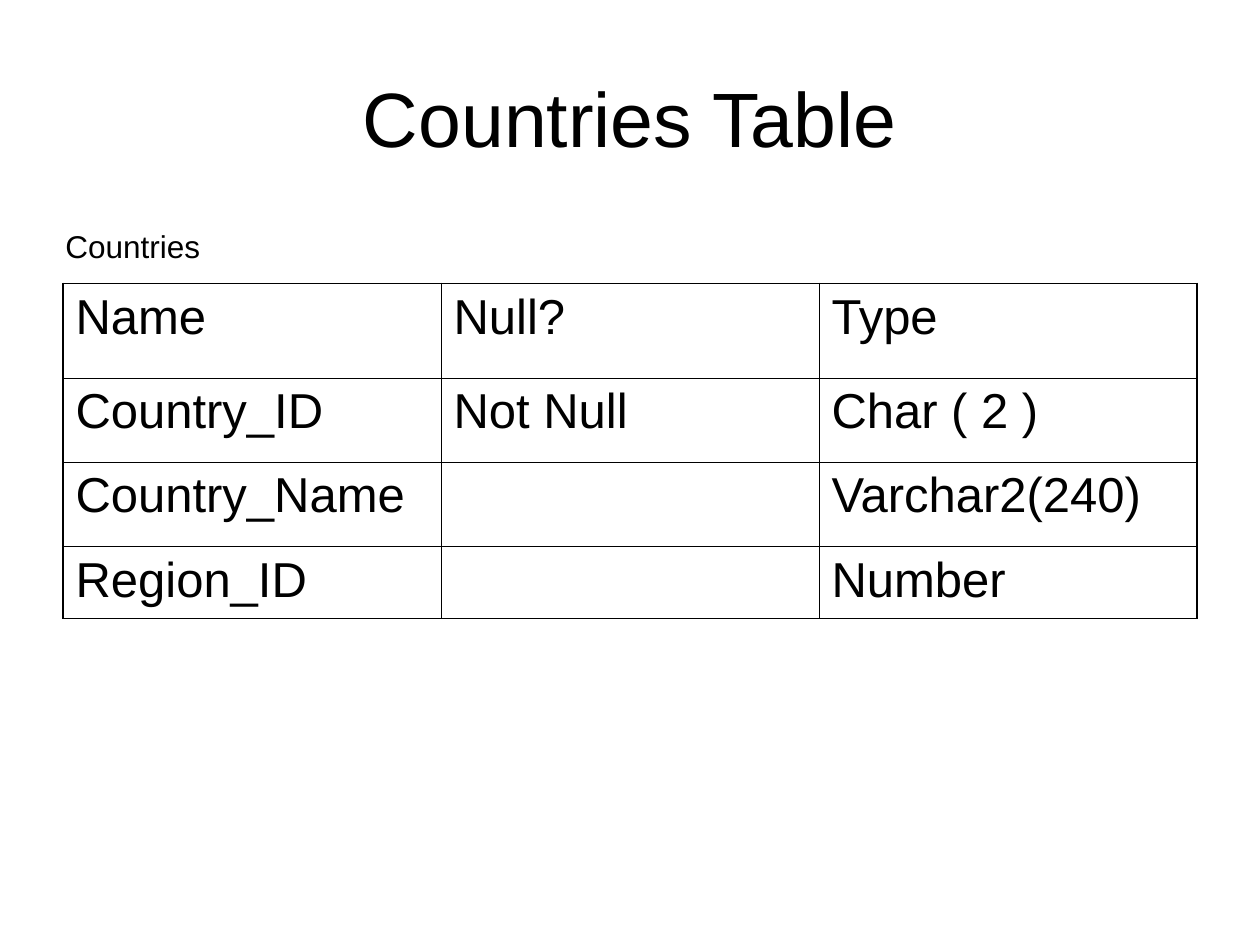
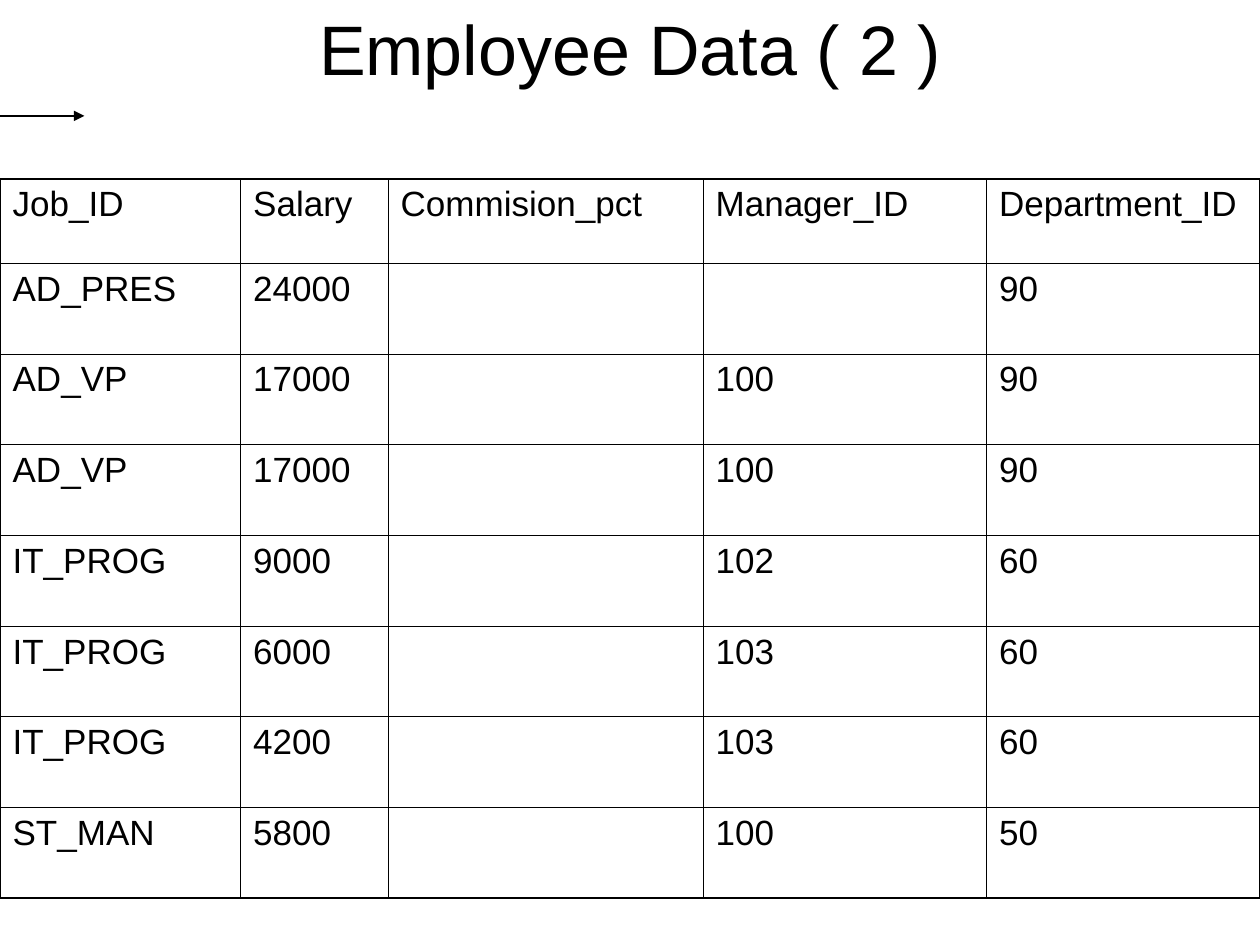
"""Build two slides that show a table definition and its employee data."""
from pptx import Presentation
from pptx import util as u
from pptx.dml.color import RGBColor
from pptx.enum import shapes, text
from pptx.oxml import parse_xml
from pptx.oxml.ns import nsdecls, qn

WIDTH, HEIGHT = 10, 7.5
FONT, INK = "Arial", "000000"
INNER_LINE, OUTER_LINE, ARROW_LINE = 0.45, 1.08, 0.75

COUNTRIES = {
    "title": ("Countries Table", 44, (0.5, 0.3, 9, 1.25)),
    "position": (0.5, 2.25),
    "columns": [3] * 3,
    "heights": [0.75, 0.67, 0.67, 0.57],
    "size": 28,
    "rows": [
        ("Name", "Null?", "Type"),
        ("Country_ID", "Not Null", "Char ( 2 )"),
        ("Country_Name", "", "Varchar2(240)"),
        ("Region_ID", "", "Number"),
    ],
}
EMPLOYEES = {
    "title": ("Employee Data ( 2 )", 40, (0.5, 0, 9, 0.75)),
    "position": (0, 1.42),
    "columns": [1.91, 1.17, 2.5, 2.25, 2.17],
    "heights": [0.67] + [0.72] * 7,
    "size": 20,
    "rows": [
        ("Job_ID", "Salary", "Commision_pct", "Manager_ID", "Department_ID"),
        ("AD_PRES", "24000", "", "", "90"),
        ("AD_VP", "17000", "", "100", "90"),
        ("AD_VP", "17000", "", "100", "90"),
        ("IT_PROG", "9000", "", "102", "60"),
        ("IT_PROG", "6000", "", "103", "60"),
        ("IT_PROG", "4200", "", "103", "60"),
        ("ST_MAN", "5800", "", "100", "50"),
    ],
}
TABLE_NAME = ("Countries", 18, (0.42, 1.75, 1.75, 0.4))
ARROW = (0, 0.92, 0.67, 0.92)


def color(hex_string):
    return RGBColor.from_string(hex_string)


def inches(values):
    return [u.Inches(value) for value in values]


def write(frame, words, size, align=text.PP_ALIGN.LEFT):
    paragraph = frame.paragraphs[0]
    paragraph.alignment = align
    run = paragraph.add_run()
    run.text = words
    run.font.name, run.font.size = FONT, u.Pt(size)
    run.font.color.rgb = color(INK)


def add_title_slide(presentation, title):
    words, size, box = title
    slide = presentation.slides.add_slide(presentation.slide_layouts[5])
    shape = slide.shapes.title
    shape.left, shape.top, shape.width, shape.height = inches(box)
    frame = shape.text_frame
    frame.auto_size = text.MSO_AUTO_SIZE.NONE
    frame.vertical_anchor = text.MSO_ANCHOR.MIDDLE
    write(frame, words, size, text.PP_ALIGN.CENTER)
    return slide


def add_borders(cell, outer_sides):
    properties = cell._tc.get_or_add_tcPr()
    for side in "LRTB":
        width = u.Pt(OUTER_LINE if side in outer_sides else INNER_LINE)
        properties.append(parse_xml(
            f'<a:ln{side} {nsdecls("a")} w="{width}"><a:solidFill>'
            f'<a:srgbClr val="{INK}"/></a:solidFill></a:ln{side}>'))


def add_grid(slide, content):
    rows, columns, heights = (content[key] for key in ("rows", "columns", "heights"))
    box = inches((*content["position"], sum(columns), sum(heights)))
    table = slide.shapes.add_table(len(rows), len(columns), *box).table
    table.first_row = table.horz_banding = False
    for column, width in zip(table.columns, columns):
        column.width = u.Inches(width)
    for row, height in zip(table.rows, heights):
        row.height = u.Inches(height)
    for r, values in enumerate(rows):
        for c, value in enumerate(values):
            cell = table.cell(r, c)
            edges = {"L": c == 0, "R": c == len(columns) - 1,
                     "T": r == 0, "B": r == len(rows) - 1}
            add_borders(cell, [side for side, outer in edges.items() if outer])
            cell.fill.background()
            if value:
                write(cell.text_frame, value, content["size"])


def add_table_name(slide):
    words, size, box = TABLE_NAME
    frame = slide.shapes.add_textbox(*inches(box)).text_frame
    frame.word_wrap = True
    frame.auto_size = text.MSO_AUTO_SIZE.SHAPE_TO_FIT_TEXT
    write(frame, words, size)


def add_arrow(slide):
    arrow = slide.shapes.add_connector(shapes.MSO_CONNECTOR.STRAIGHT, *inches(ARROW))
    arrow.line.color.rgb = color(INK)
    arrow.line.width = u.Pt(ARROW_LINE)
    properties = arrow._element.spPr
    line = properties.find(qn("a:ln"))
    line.append(parse_xml(f'<a:tailEnd {nsdecls("a")} type="triangle"/>'))
    properties.append(parse_xml(f'<a:effectLst {nsdecls("a")}/>'))


def main():
    presentation = Presentation()
    presentation.slide_width, presentation.slide_height = inches((WIDTH, HEIGHT))
    for content, add_extra in ((COUNTRIES, add_table_name), (EMPLOYEES, add_arrow)):
        slide = add_title_slide(presentation, content["title"])
        add_grid(slide, content)
        add_extra(slide)
    presentation.save("out.pptx")


if __name__ == "__main__":
    main()
